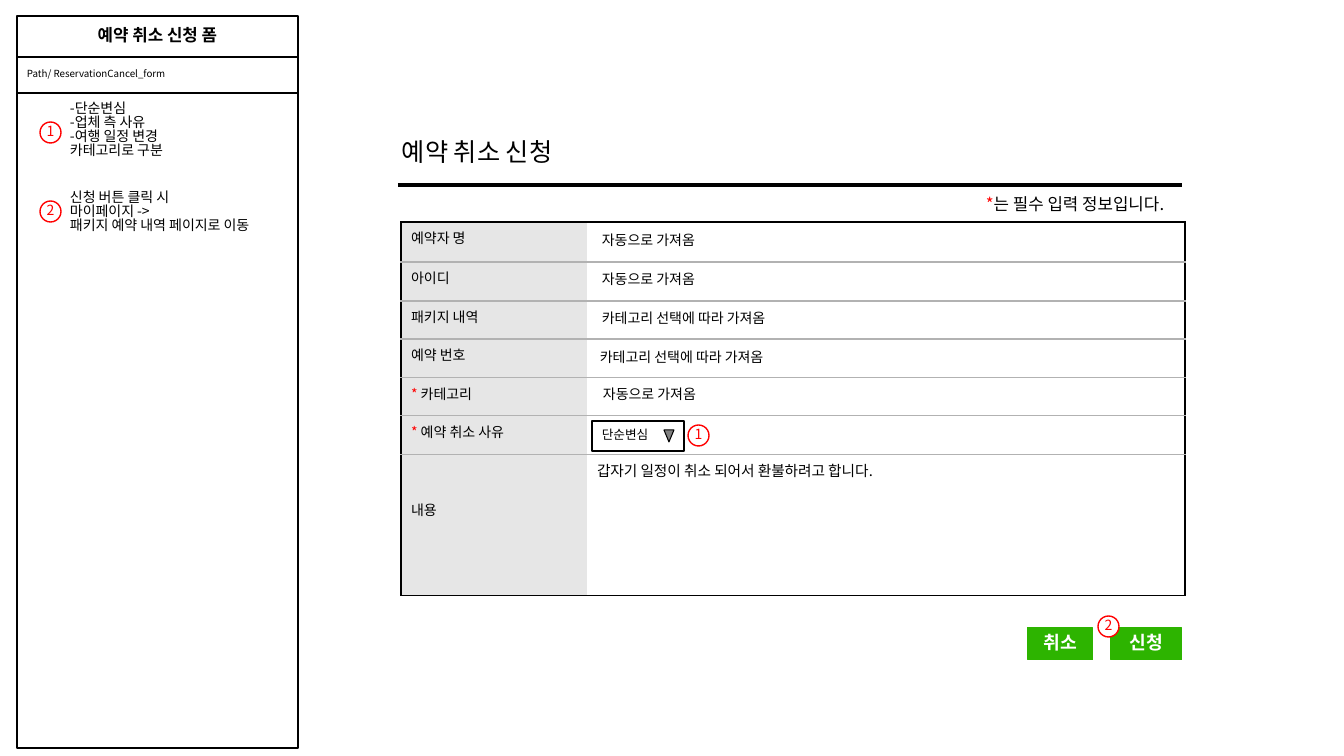
from lxml.etree import SubElement
from pptx import Presentation
from pptx.dml.color import RGBColor
from pptx.enum.shapes import MSO_CONNECTOR, MSO_SHAPE as Shape
from pptx.enum.text import MSO_ANCHOR as Anchor, MSO_AUTO_SIZE as AutoSize, PP_ALIGN as Align
from pptx.oxml.ns import qn
from pptx.util import Inches, Pt

PX = Inches(7.5) / 756
FONT = "Noto Sans CJK KR"
BLACK = RGBColor(0x00, 0x00, 0x00)
WHITE = RGBColor(0xFF, 0xFF, 0xFF)
RED = RGBColor(0xFF, 0x00, 0x00)
GREEN = RGBColor(0x2D, 0xB4, 0x00)
GREY = RGBColor(0x80, 0x80, 0x80)
LABEL_GREY = RGBColor(0xE6, 0xE6, 0xE6)
RULE_GREY = RGBColor(0xB2, 0xB2, 0xB2)

LINE_SPACING = 0.83
SIDEBAR_X, SIDEBAR_W = 17, 281
FORM_X, FORM_Y = 401, 222
COLUMN_WIDTHS = (186, 598)
ROW_HEIGHTS = (40, 39, 38, 39, 38, 39, 141)
FIELDS = (
    ("예약자 명", False),
    ("아이디", False),
    ("패키지 내역", False),
    ("예약 번호", False),
    ("카테고리", True),
    ("예약 취소 사유", True),
    ("내용", False),
)
FIELD_VALUES = (
    (592, 229, "자동으로 가져옴"),
    (592, 268, "자동으로 가져옴"),
    (592, 307, "카테고리 선택에 따라 가져옴"),
    (590, 346, "카테고리 선택에 따라 가져옴"),
    (593, 383, "자동으로 가져옴"),
)
REASON = "갑자기 일정이 취소 되어서 환불하려고 합니다."
REASON_NOTES = ("-단순변심", "-업체 측 사유", "-여행 일정 변경", "카테고리로 구분")
SUBMIT_NOTES = ("신청 버튼 클릭 시", "마이페이지 ->", "패키지 예약 내역 페이지로 이동")
MARKERS = (("1", 40, 122), ("2", 40, 201), ("1", 688, 425), ("2", 1098, 616))


def emu(*lengths):
    return [round(length * PX) for length in lengths]


def apply_format(target, values):
    for attribute, value in values.items():
        setattr(target, attribute, value)


def add_run(paragraph, text, size, color=BLACK, bold=False):
    """Append a run whose font also covers Hangul."""
    run = paragraph.add_run()
    run.text = text
    apply_format(run.font, {"name": FONT, "size": Pt(size), "bold": bold})
    run.font.color.rgb = color
    SubElement(run.font._element, qn("a:ea"), typeface=FONT)


def add_text(slide, box, lines, size):
    """Add a text box; each line is a list of (text, color) pairs."""
    frame = slide.shapes.add_textbox(*emu(*box)).text_frame
    apply_format(frame, {"word_wrap": True, "auto_size": AutoSize.SHAPE_TO_FIT_TEXT})
    for index, line in enumerate(lines):
        paragraph = frame.add_paragraph() if index else frame.paragraphs[0]
        paragraph.line_spacing = LINE_SPACING
        for text, color in line:
            add_run(paragraph, text, size, color)


def add_plain_text(slide, box, lines, size=10):
    add_text(slide, box, [[(line, BLACK)] for line in lines], size)


def add_box(slide, kind, box, fill=WHITE, line=BLACK, line_width=1):
    shape = slide.shapes.add_shape(kind, *emu(*box))
    shape.shadow.inherit = False
    shape.fill.solid()
    shape.fill.fore_color.rgb = fill
    shape.line.color.rgb = line
    shape.line.width = Pt(line_width)
    return shape


def label_box(shape, text, size, color=BLACK, bold=False, align=Align.CENTER, **frame_format):
    frame = shape.text_frame
    apply_format(frame, {"vertical_anchor": Anchor.MIDDLE, "word_wrap": True, **frame_format})
    paragraph = frame.paragraphs[0]
    apply_format(paragraph, {"alignment": align, "line_spacing": LINE_SPACING})
    add_run(paragraph, text, size, color, bold)


def add_marker(slide, number, x, y):
    circle = add_box(slide, Shape.OVAL, (x, y, 21, 21), line=RED)
    no_margins = dict.fromkeys(("margin_left", "margin_right", "margin_top", "margin_bottom"), 0)
    label_box(circle, number, 10, RED, word_wrap=False, **no_margins)


def add_button(slide, text, x, width):
    button = add_box(slide, Shape.RECTANGLE, (x, 628, width, 32), GREEN, GREEN, 0.75)
    label_box(button, text, 13, WHITE, True)


def set_borders(cell, colors):
    """Draw left, right, top and bottom borders; None hides one."""
    properties = cell._tc.get_or_add_tcPr()
    for position, (side, color) in enumerate(zip(("lnL", "lnR", "lnT", "lnB"), colors)):
        border = SubElement(properties, qn(f"a:{side}"), w=str(Pt(1)))
        if color is None:
            SubElement(border, qn("a:noFill"))
        else:
            fill = SubElement(border, qn("a:solidFill"))
            SubElement(fill, qn("a:srgbClr"), val=str(color))
        properties.remove(border)
        properties.insert(position, border)


def add_form_table(slide):
    size = emu(FORM_X, FORM_Y, sum(COLUMN_WIDTHS), sum(ROW_HEIGHTS))
    form = slide.shapes.add_table(len(FIELDS), len(COLUMN_WIDTHS), *size).table
    apply_format(form, {"first_row": False, "horz_banding": False})
    for column, width in zip(form.columns, emu(*COLUMN_WIDTHS)):
        column.width = width
    last = len(FIELDS) - 1
    for index, (name, required) in enumerate(FIELDS):
        form.rows[index].height = emu(ROW_HEIGHTS[index])[0]
        label, value = form.cell(index, 0), form.cell(index, 1)
        top = RULE_GREY if index else BLACK
        bottom = RULE_GREY if index < last else BLACK
        for cell, fill, left, right in (
            (label, LABEL_GREY, BLACK, None),
            (value, WHITE, None, BLACK),
        ):
            cell.fill.solid()
            cell.fill.fore_color.rgb = fill
            set_borders(cell, (left, right, top, bottom))
        paragraph = label.text_frame.paragraphs[0]
        if required:
            add_run(paragraph, "* ", 10, RED)
        add_run(paragraph, name, 10)
        if index < last:
            SubElement(value.text_frame.paragraphs[0]._p, qn("a:endParaRPr"), sz="1000")
    label.margin_top = emu(45)[0]
    add_run(value.text_frame.paragraphs[0], REASON, 10.5)


def add_title_rule(slide):
    ends = emu(398, 185, 1182, 185)
    rule = slide.shapes.add_connector(MSO_CONNECTOR.STRAIGHT, *ends)
    rule.line.color.rgb = BLACK
    rule.line.width = Pt(2.25)
    SubElement(rule._element.spPr, qn("a:effectLst"))


def add_sidebar(slide):
    add_box(slide, Shape.RECTANGLE, (SIDEBAR_X, 93, SIDEBAR_W, 655))
    heading = add_box(slide, Shape.RECTANGLE, (SIDEBAR_X, 16, SIDEBAR_W, 41))
    label_box(heading, "예약 취소 신청 폼", 12, bold=True)
    page_route = add_box(slide, Shape.RECTANGLE, (SIDEBAR_X, 57, SIDEBAR_W, 36))
    label_box(page_route, "Path/ ReservationCancel_form", 7, align=Align.LEFT)
    add_plain_text(slide, (60, 97, 301, 78), REASON_NOTES)
    add_plain_text(slide, (60, 186, 301, 61), SUBMIT_NOTES)


def add_reason_dropdown(slide):
    dropdown = add_box(slide, Shape.RECTANGLE, (592, 421, 92, 30))
    label_box(dropdown, "단순변심", 9, align=Align.LEFT)
    add_box(slide, Shape.FLOWCHART_MERGE, (664, 430, 10, 12), GREY, line_width=0.75)


def main():
    deck = Presentation()
    deck.slide_width, deck.slide_height = emu(1344, 756)
    slide = deck.slides.add_slide(deck.slide_layouts[6])
    add_sidebar(slide)
    add_form_table(slide)
    add_plain_text(slide, (392, 136, 453, 40), ["예약 취소 신청"], 18)
    add_title_rule(slide)
    required_note = [("*", RED), ("는 필수 입력 정보입니다.", BLACK)]
    add_text(slide, (976, 192, 270, 30), [required_note], 12)
    for x, y, text in FIELD_VALUES:
        add_plain_text(slide, (x, y, 233, 27), [text])
    add_reason_dropdown(slide)
    add_button(slide, "취소", 1028, 65)
    add_button(slide, "신청", 1111, 71)
    for number, x, y in MARKERS:
        add_marker(slide, number, x, y)
    deck.save("out.pptx")


if __name__ == "__main__":
    main()
